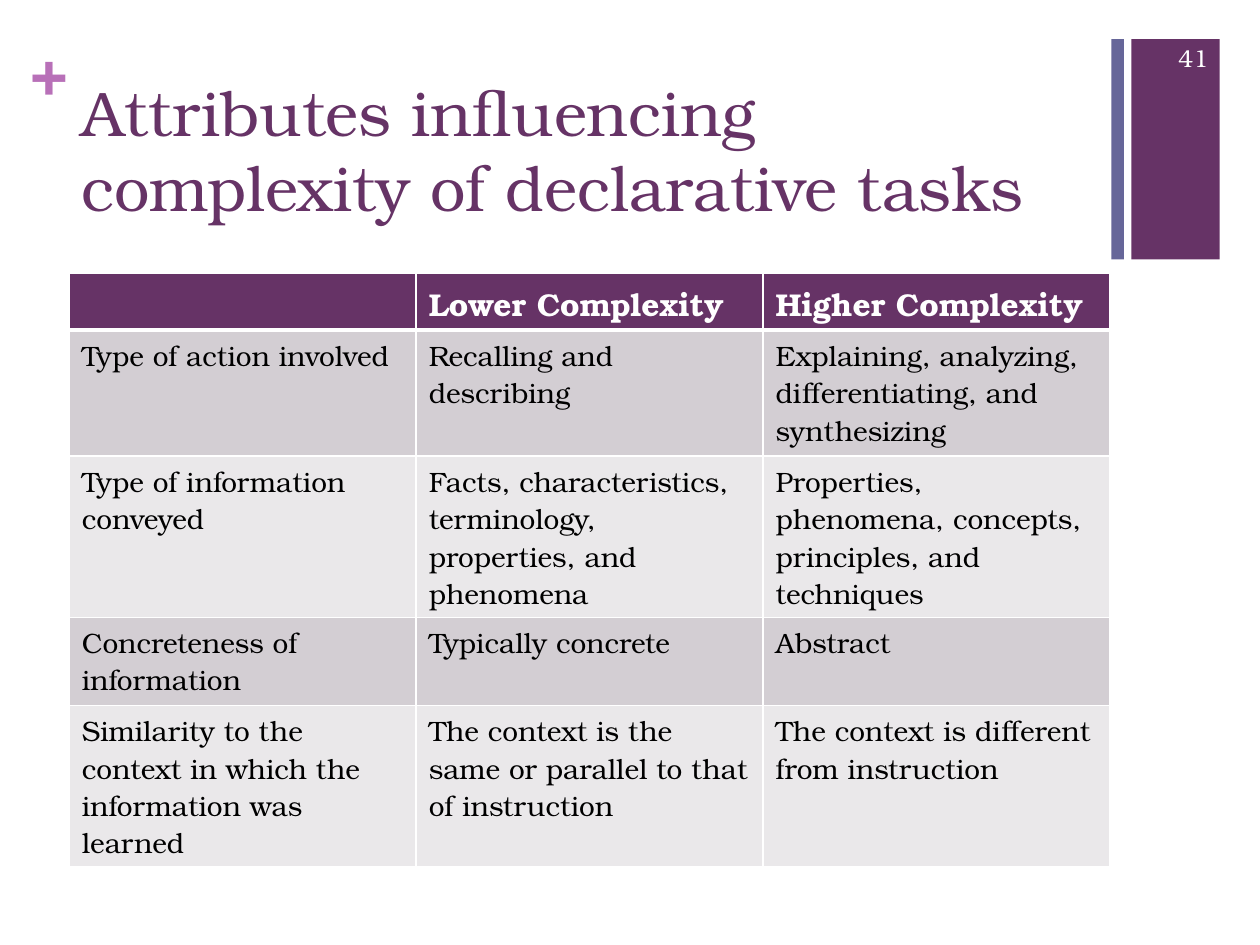
from lxml import etree
from pptx import Presentation
from pptx.dml.color import RGBColor
from pptx.enum.shapes import MSO_SHAPE
from pptx.enum.text import MSO_ANCHOR, MSO_AUTO_SIZE, PP_ALIGN
from pptx.oxml.ns import qn
from pptx.util import Inches, Pt

RECTANGLE = MSO_SHAPE.RECTANGLE
TOP, MIDDLE = MSO_ANCHOR.TOP, MSO_ANCHOR.MIDDLE
LEFT, RIGHT = PP_ALIGN.LEFT, PP_ALIGN.RIGHT
NO_AUTOFIT = MSO_AUTO_SIZE.NONE

FONT = "TeX Gyre Bonum"
COLORS = {
    "plum": "663366", "slate": "666699", "orchid": "B870B8",
    "dark band": "D3CED3", "light band": "EAE8EA",
    "white": "FFFFFF", "black": "000000",
}
TITLE = "Attributes influencing complexity of declarative tasks"
ROWS = [  # height, cells
    (0.45, ("", "Lower Complexity", "Higher Complexity")),
    (1.0, ("Type of action involved", "Recalling and describing",
           "Explaining, analyzing, differentiating, and synthesizing")),
    (1.28, ("Type of information conveyed",
            "Facts, characteristics, terminology, properties, and phenomena",
            "Properties, phenomena, concepts, principles, and techniques")),
    (0.7, ("Concreteness of information", "Typically concrete", "Abstract")),
    (1.28, ("Similarity to the context in which the information was learned",
            "The context is the same or parallel to that of instruction",
            "The context is different from instruction")),
]
BARS = [(8.98, 0.7, "plum"), (8.82, 0.1, "slate")]  # left, width, colour
BAR_TOP, BAR_HEIGHT = 0.31, 1.75
CONTENT_LEFT, CONTENT_WIDTH = 0.55, 8.26
TABLE_TOP = 2.17


def rgb(name):
    return RGBColor.from_string(COLORS[name])


def style(para, size, color, bold=False, align=LEFT):
    para.alignment = align
    para.font.name = FONT
    para.font.size = Pt(size)
    para.font.bold = bold
    para.font.color.rgb = rgb(color)


def add_bar(page, left, width, color):
    bar = page.shapes.add_shape(RECTANGLE, Inches(left), Inches(BAR_TOP),
                                Inches(width), Inches(BAR_HEIGHT))
    bar.shadow.inherit = False
    bar.fill.solid()
    bar.fill.fore_color.rgb = rgb(color)
    bar.line.fill.background()


def add_label(page, text, position, size, color, **options):
    box = page.shapes.add_textbox(*(Inches(value) for value in position))
    frame = box.text_frame
    frame.word_wrap = True
    frame.text = text
    style(frame.paragraphs[0], size, color, **options)
    return frame


def set_borders(cell, top_width, bottom_width):
    """Draw white cell borders, 1 pt at the sides."""
    properties = cell._tc.get_or_add_tcPr()
    widths = {"a:lnL": 1, "a:lnR": 1, "a:lnT": top_width, "a:lnB": bottom_width}
    for index, (tag, width) in enumerate(widths.items()):
        line = etree.Element(qn(tag), w=str(Pt(width)))
        fill = etree.SubElement(line, qn("a:solidFill"))
        etree.SubElement(fill, qn("a:srgbClr"), val=COLORS["white"])
        properties.insert(index, line)


def add_table(page):
    total_height = sum(height for height, _ in ROWS)
    table = page.shapes.add_table(
        len(ROWS), len(ROWS[0][1]), Inches(CONTENT_LEFT), Inches(TABLE_TOP),
        Inches(CONTENT_WIDTH), Inches(total_height)).table
    for row_index, (height, texts) in enumerate(ROWS):
        table.rows[row_index].height = Inches(height)
        header = row_index == 0
        band = "plum" if header else "dark band" if row_index % 2 else "light band"
        for column_index, text in enumerate(texts):
            cell = table.cell(row_index, column_index)
            cell.text = text
            cell.fill.solid()
            cell.fill.fore_color.rgb = rgb(band)
            set_borders(cell, 3 if row_index == 1 else 1, 3 if header else 1)
            style(cell.text_frame.paragraphs[0], 18 if header else 16,
                  "white" if header else "black", bold=header)


def add_title(page):
    title = page.shapes.title
    title.left, title.top = Inches(CONTENT_LEFT), Inches(0.53)
    title.width, title.height = Inches(CONTENT_WIDTH), Inches(1.22)
    frame = title.text_frame
    frame.text = TITLE
    frame.word_wrap = True
    frame.auto_size = NO_AUTOFIT
    frame.vertical_anchor = TOP
    style(frame.paragraphs[0], 36, "plum")


def main():
    deck = Presentation()
    deck.slide_width, deck.slide_height = Inches(10), Inches(7.5)
    page = deck.slides.add_slide(deck.slide_layouts[5])
    for bar in BARS:
        add_bar(page, *bar)
    plus = add_label(page, "+", (0.24, 0.25, 0.29, 0.61), 36, "orchid", bold=True)
    plus.margin_left = plus.margin_right = plus.margin_top = plus.margin_bottom = 0
    add_title(page)
    add_table(page)
    number = add_label(page, "41", (9.08, 0.26, 0.61, 0.4), 14, "white", align=RIGHT)
    number.vertical_anchor = MIDDLE
    deck.save("out.pptx")


if __name__ == "__main__":
    main()
